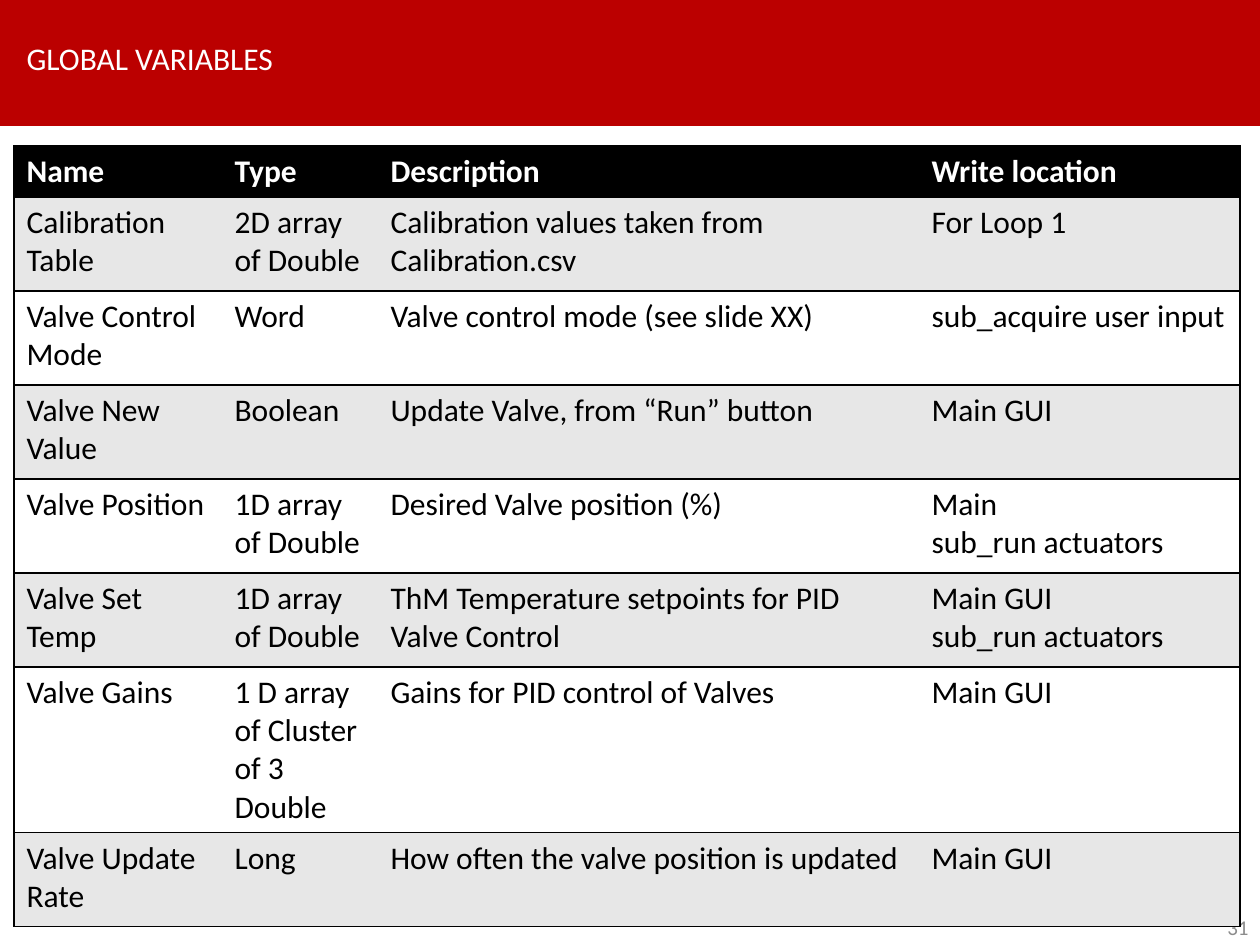
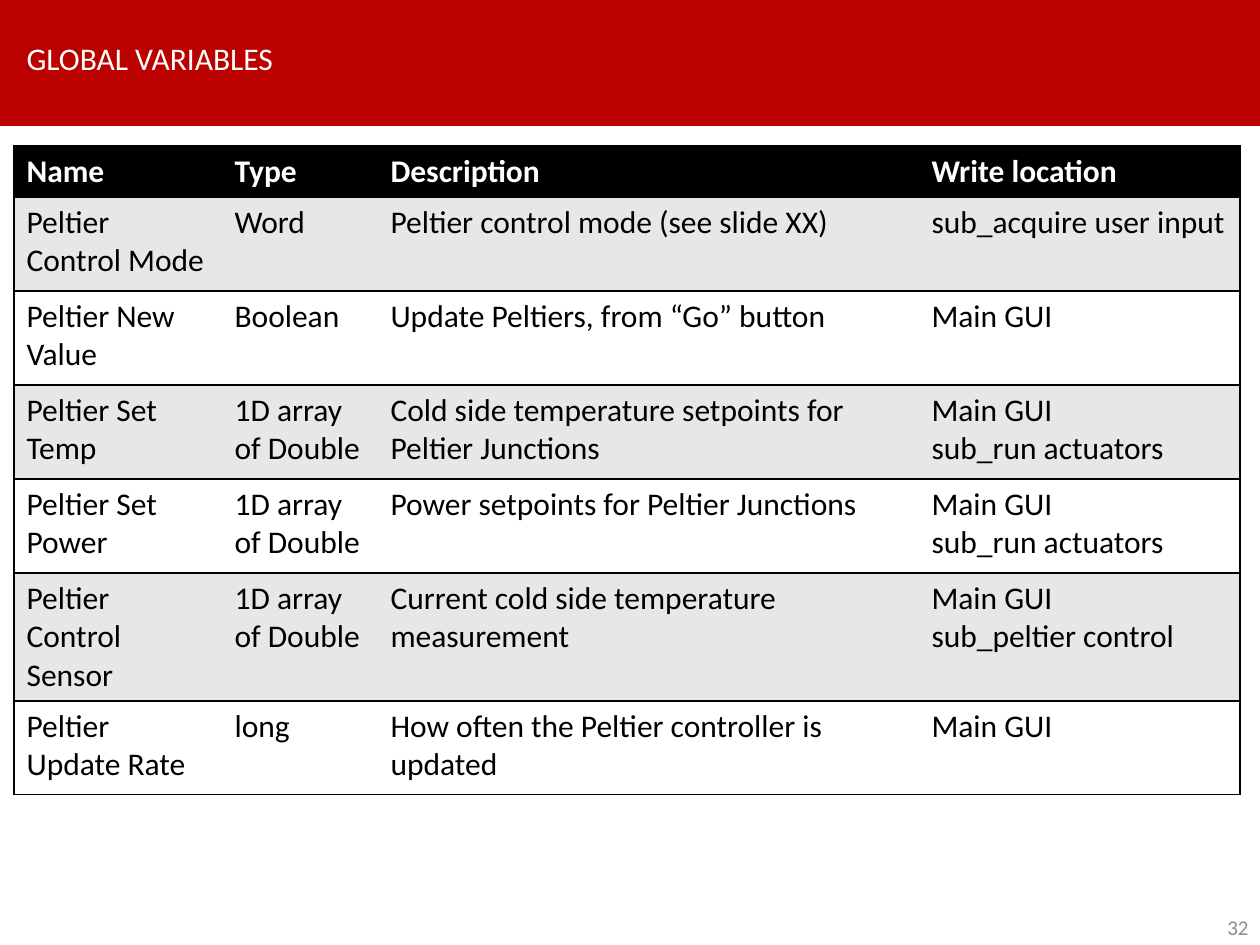
from dataclasses import dataclass

from lxml import etree
from pptx import Presentation
from pptx.dml.color import RGBColor
from pptx.enum.shapes import MSO_SHAPE
from pptx.enum.text import MSO_ANCHOR, PP_ALIGN
from pptx.oxml.ns import qn
from pptx.util import Emu, Pt

RECTANGLE = MSO_SHAPE.RECTANGLE
MIDDLE = MSO_ANCHOR.MIDDLE
LEFT = PP_ALIGN.LEFT
RIGHT = PP_ALIGN.RIGHT
EMU_PER_PX = 914400 / 126
SLIDE_WIDTH, SLIDE_HEIGHT = 1260, 945
TITLE_ONLY = 5
BAND_ID = "20"


@dataclass(frozen=True)
class Theme:
    """Colours, font and type sizes shared by the slides."""

    font: str = "Calibri"
    band: str = "BB0000"
    white: str = "FFFFFF"
    black: str = "000000"
    stripe: str = "E7E7E7"
    number: str = "8C8C8C"
    body_size: int = 18
    number_size: int = 12
    border_width: int = 1


THEME = Theme()
TITLE = "GLOBAL VARIABLES"
FIRST_NUMBER = 31
TABLE_LEFT, TABLE_TOP = 14, 146
COLUMN_WIDTHS = (208, 156, 541, 321)
HEADER_HEIGHT, ROW_HEIGHT = 51, 94
HEADER = ("Name", "Type", "Description", "Write location")

VALVE_VARIABLES = (
    ("Calibration Table", "2D array of Double",
     "Calibration values taken from Calibration.csv", "For Loop 1"),
    ("Valve Control Mode", "Word", "Valve control mode (see slide XX)",
     "sub_acquire user input"),
    ("Valve New Value", "Boolean", "Update Valve, from “Run” button", "Main GUI"),
    ("Valve Position", "1D array of Double", "Desired Valve position (%)",
     "Main\nsub_run actuators"),
    ("Valve Set Temp", "1D array of Double",
     "ThM Temperature setpoints for PID Valve Control",
     "Main GUI\nsub_run actuators"),
    ("Valve Gains", "1 D array of Cluster of 3 Double",
     "Gains for PID control of Valves", "Main GUI"),
    ("Valve Update Rate", "Long", "How often the valve position is updated",
     "Main GUI"),
)
PELTIER_VARIABLES = (
    ("Peltier Control Mode", "Word", "Peltier control mode (see slide XX)",
     "sub_acquire user input"),
    ("Peltier New Value", "Boolean", "Update Peltiers, from “Go” button",
     "Main GUI"),
    ("Peltier Set Temp", "1D array of Double",
     "Cold side temperature setpoints for Peltier Junctions",
     "Main GUI\nsub_run actuators"),
    ("Peltier Set Power", "1D array of Double",
     "Power setpoints for Peltier Junctions", "Main GUI\nsub_run actuators"),
    ("Peltier Control Sensor", "1D array of Double",
     "Current cold side temperature measurement",
     "Main GUI\nsub_peltier control"),
    ("Peltier Update Rate", "long",
     "How often the Peltier controller is updated", "Main GUI"),
)
VARIABLE_SLIDES = (
    (VALVE_VARIABLES, {"Valve Gains": 166}),
    (PELTIER_VARIABLES, {"Peltier Control Sensor": 128}),
)


def px(length):
    """Turn a length in px into EMU."""
    return Emu(round(length * EMU_PER_PX))


def rgb(colour):
    """Turn a hex string into a colour."""
    return RGBColor.from_string(colour)


def add_run(paragraph, text, size, colour, bold=False):
    """Add one formatted run to a paragraph."""
    run = paragraph.add_run()
    run.text = text
    run.font.name = THEME.font
    run.font.size = Pt(size)
    run.font.bold = bold
    run.font.color.rgb = rgb(colour)


def add_layout_band(slide):
    """Build the title band and move it to the back of the slide's layout."""
    band = slide.shapes.add_shape(RECTANGLE, 0, 0, px(SLIDE_WIDTH), px(126))
    band.shadow.inherit = False
    band.fill.solid()
    band.fill.fore_color.rgb = rgb(THEME.band)
    band.line.fill.background()
    band.element.nvSpPr.cNvPr.set("id", BAND_ID)
    slide.slide_layout.shapes.element.insert(2, band.element)


def set_title(slide, text):
    """Place and format the title placeholder."""
    title = slide.shapes.title
    title.left, title.top, title.width, title.height = map(px, (14, 14, 730, 92))
    title.text_frame.vertical_anchor = MIDDLE
    title.text_frame.word_wrap = True
    paragraph = title.text_frame.paragraphs[0]
    paragraph.alignment = LEFT
    paragraph.line_spacing = 0.9
    paragraph.space_before = Pt(10)
    add_run(paragraph, text, THEME.body_size, THEME.white)


def add_slide_number(slide, number):
    """Add the number in the bottom right corner."""
    box = slide.shapes.add_textbox(*map(px, (992, 910, 269, 35)))
    box.text_frame.word_wrap = True
    box.text_frame.vertical_anchor = MIDDLE
    paragraph = box.text_frame.paragraphs[0]
    paragraph.alignment = RIGHT
    add_run(paragraph, str(number), THEME.number_size, THEME.number)


def set_borders(cell, is_first, is_last):
    """Rule a cell above and below, and at the outer sides of the table."""
    properties = cell._tc.get_or_add_tcPr()
    sides = {"a:lnL": is_first, "a:lnR": is_last, "a:lnT": True, "a:lnB": True}
    for tag, visible in sides.items():
        line = etree.SubElement(properties, qn(tag), w=str(Pt(THEME.border_width)))
        if visible:
            fill = etree.SubElement(line, qn("a:solidFill"))
            etree.SubElement(fill, qn("a:srgbClr"), val=THEME.black)
        else:
            etree.SubElement(line, qn("a:noFill"))


def fill_cell(cell, text, background, colour, bold):
    """Colour a cell and write one paragraph for each line of text."""
    cell.fill.solid()
    cell.fill.fore_color.rgb = rgb(background)
    for index, line in enumerate(text.split("\n")):
        frame = cell.text_frame
        paragraph = frame.add_paragraph() if index else frame.paragraphs[0]
        add_run(paragraph, line, THEME.body_size, colour, bold)


def add_variable_table(slide, variables, tall_rows):
    """Add the striped table of variables under a black header."""
    rows = (HEADER, *variables)
    heights = [HEADER_HEIGHT]
    heights += [tall_rows.get(variable[0], ROW_HEIGHT) for variable in variables]
    table = slide.shapes.add_table(
        len(rows), len(HEADER), px(TABLE_LEFT), px(TABLE_TOP),
        px(sum(COLUMN_WIDTHS)), px(sum(heights))).table
    for column, width in zip(table.columns, COLUMN_WIDTHS):
        column.width = px(width)
    for row_index, (row, height) in enumerate(zip(rows, heights)):
        table.rows[row_index].height = px(height)
        is_header = row_index == 0
        stripe = THEME.stripe if row_index % 2 else THEME.white
        background = THEME.black if is_header else stripe
        colour = THEME.white if is_header else THEME.black
        for column_index, text in enumerate(row):
            cell = table.cell(row_index, column_index)
            set_borders(cell, column_index == 0, column_index == len(row) - 1)
            fill_cell(cell, text, background, colour, is_header)


def main():
    """Build the slides and save the presentation."""
    presentation = Presentation()
    presentation.slide_width = px(SLIDE_WIDTH)
    presentation.slide_height = px(SLIDE_HEIGHT)
    layout = presentation.slide_layouts[TITLE_ONLY]
    for index, (variables, tall_rows) in enumerate(VARIABLE_SLIDES):
        slide = presentation.slides.add_slide(layout)
        if index == 0:
            add_layout_band(slide)
        set_title(slide, TITLE)
        add_slide_number(slide, FIRST_NUMBER + index)
        add_variable_table(slide, variables, tall_rows)
    presentation.save("out.pptx")


if __name__ == "__main__":
    main()
